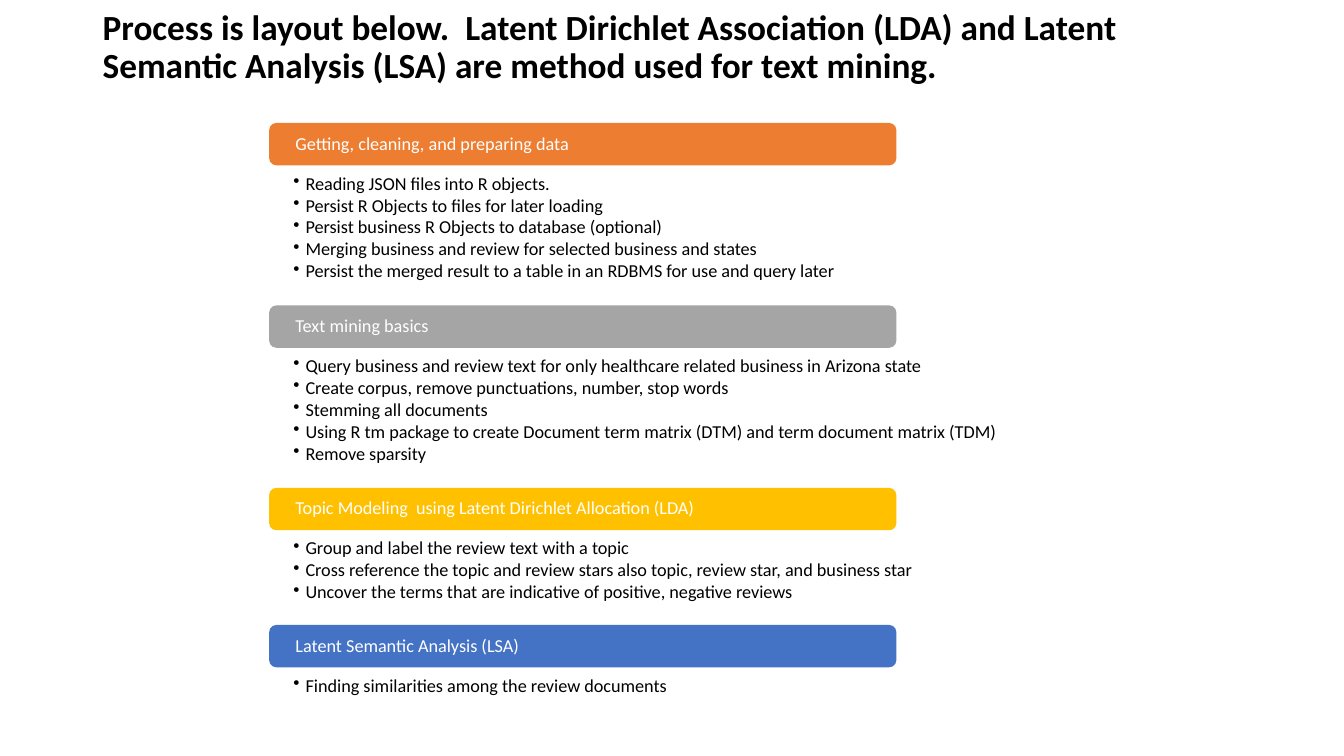
from dataclasses import dataclass

from lxml import etree
from pptx import Presentation
from pptx.dml.color import RGBColor
from pptx.enum import shapes, text
from pptx.oxml import ns
from pptx.util import Inches, Pt

BLACK = RGBColor(0x00, 0x00, 0x00)
WHITE = RGBColor(0xFF, 0xFF, 0xFF)
ORANGE = RGBColor(0xED, 0x7D, 0x31)
GRAY = RGBColor(0xA5, 0xA5, 0xA5)
GOLD = RGBColor(0xFF, 0xC0, 0x00)
BLUE = RGBColor(0x44, 0x72, 0xC4)

FIRST_TOP = 1.43
PANEL_GAP = 0.29
HEADER_RISE = 0.21


@dataclass
class Step:
    heading: str
    color: RGBColor
    height: float
    bullets: list[str]


STEPS = [
    Step("Getting, cleaning, and preparing data", ORANGE, 1.52, [
        "Reading JSON files into R objects. ",
        "Persist R Objects to files for later loading",
        "Persist business R Objects to database (optional)",
        "Merging business and review for selected business and states",
        "Persist the merged result to a table in an RDBMS for use and query later",
    ]),
    Step("Text mining basics", GRAY, 1.52, [
        "Query business and review text for only healthcare related business in Arizona state",
        "Create corpus, remove punctuations, number, stop words",
        "Stemming all documents",
        "Using R tm package to create Document term matrix (DTM) and term document matrix (TDM) ",
        "Remove sparsity",
    ]),
    Step("Topic Modeling  using Latent Dirichlet Allocation (LDA)", GOLD, 1.07, [
        "Group and label the review text with a topic",
        "Cross reference the topic and review stars also topic, review star, and business star",
        "Uncover the terms that are indicative of positive, negative reviews",
    ]),
    Step("Latent Semantic Analysis (LSA)", BLUE, 0.6, [
        "Finding similarities among the review documents",
    ]),
]


def set_attrs(obj, values: dict) -> None:
    for name, value in values.items():
        setattr(obj, name, value)


def add_bullet(p) -> None:
    pPr = p._p.get_or_add_pPr()
    pPr.set("marL", str(Inches(0.12)))
    pPr.set("indent", str(Inches(-0.12)))
    etree.SubElement(pPr, ns.qn("a:buChar")).set("char", "•")


def write(sp, lines: list[str], insets: tuple, anchor, size: float,
          color: RGBColor, bold: bool = False, bulleted: bool = False) -> None:
    tf = sp.text_frame
    left, top, right, bottom = map(Inches, insets)
    set_attrs(tf, {"word_wrap": True, "vertical_anchor": anchor,
                   "margin_left": left, "margin_top": top,
                   "margin_right": right, "margin_bottom": bottom})
    for i, line in enumerate(lines):
        p = tf.add_paragraph() if i else tf.paragraphs[0]
        set_attrs(p, {"alignment": text.PP_ALIGN.LEFT, "line_spacing": 0.9,
                      "space_after": Pt(1.6 if bulleted else 0)})
        if bulleted:
            add_bullet(p)
        r = p.add_run()
        r.text = line
        set_attrs(r.font, {"name": "Calibri", "size": Pt(size), "bold": bold})
        r.font.color.rgb = color


def add_box(s, kind, box: tuple, fill: RGBColor):
    sp = s.shapes.add_shape(kind, *map(Inches, box))
    sp.shadow.inherit = False
    sp.fill.solid()
    sp.fill.fore_color.rgb = fill
    sp.line.fill.background()
    return sp


def add_step(s, step: Step, top: float) -> None:
    panel = add_box(s, shapes.MSO_SHAPE.RECTANGLE, (2.22, top, 8.89, step.height), WHITE)
    write(panel, step.bullets, (0.69, 0.3, 0.69, 0.1), text.MSO_ANCHOR.TOP,
          13, BLACK, bulleted=True)
    header = add_box(s, shapes.MSO_SHAPE.ROUNDED_RECTANGLE,
                     (2.67, top - HEADER_RISE, 6.22, 0.42), step.color)
    write(header, [step.heading], (0.24, 0, 0.24, 0), text.MSO_ANCHOR.MIDDLE, 13, WHITE)


prs = Presentation()
set_attrs(prs, {"slide_width": Inches(13.33), "slide_height": Inches(7.5)})
s = prs.slides.add_slide(prs.slide_layouts[6])

top = FIRST_TOP
for step in STEPS:
    add_step(s, step, top)
    top += step.height + PANEL_GAP

title = s.shapes.add_textbox(*map(Inches, (0.92, 0.06, 11.5, 0.84)))
write(title, ["Process is layout below.  Latent Dirichlet Association (LDA) and Latent "
              "Semantic Analysis (LSA) are method used for text mining."],
      (0.1, 0.05, 0.1, 0.05), text.MSO_ANCHOR.MIDDLE, 25.2, BLACK, bold=True)

prs.save("out.pptx")
